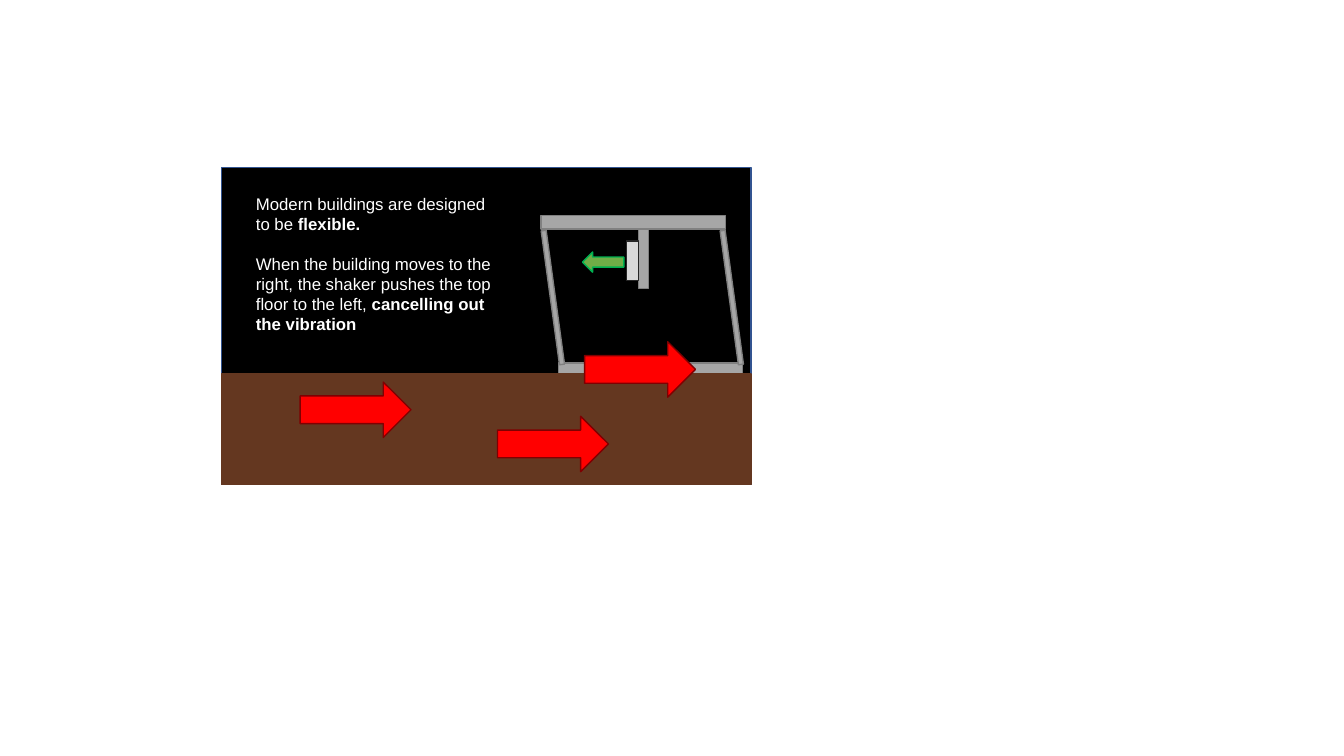
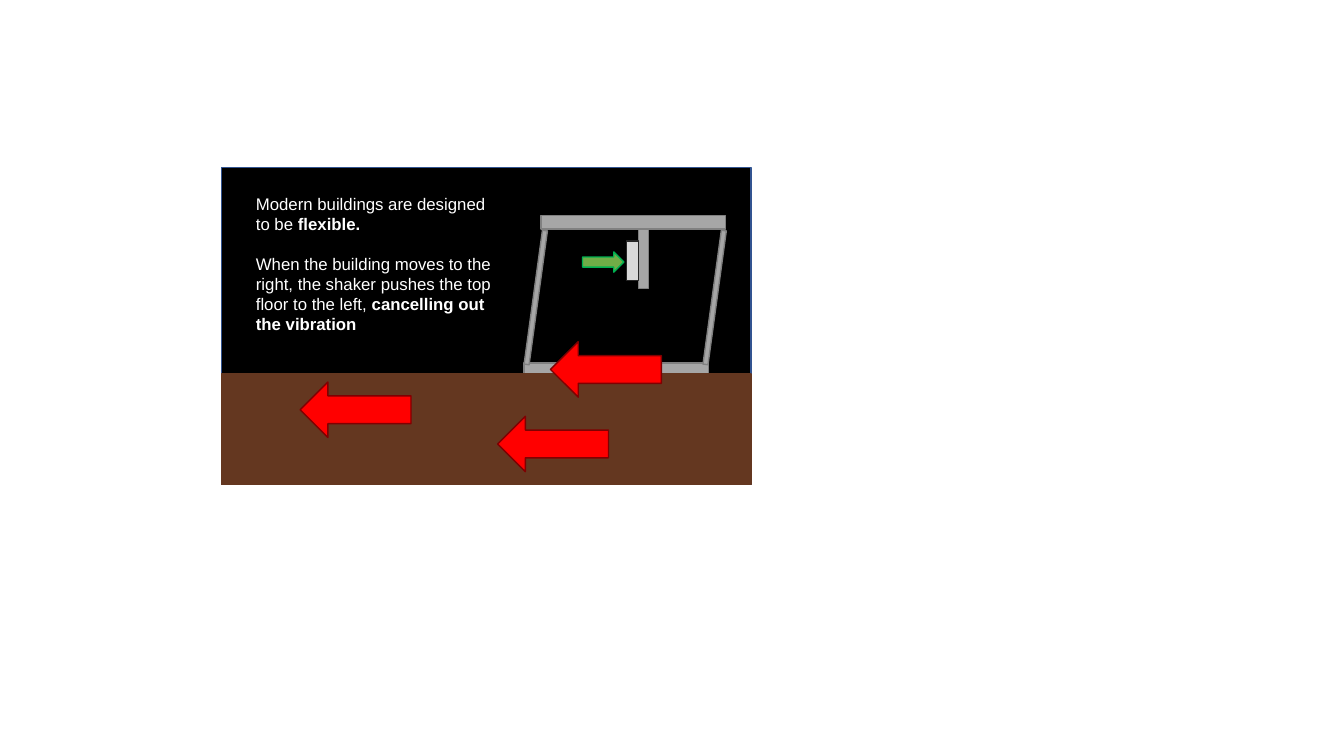
from pptx import Presentation
from pptx.dml.color import RGBColor
from pptx.enum.shapes import MSO_SHAPE
from pptx.enum.text import MSO_AUTO_SIZE
from pptx.util import Pt

RECT = MSO_SHAPE.RECTANGLE
ARROW = MSO_SHAPE.RIGHT_ARROW
FIT_SHAPE = MSO_AUTO_SIZE.SHAPE_TO_FIT_TEXT

WHITE = RGBColor(0xFF, 0xFF, 0xFF)
BLACK = RGBColor(0x00, 0x00, 0x00)
PANEL_EDGE = RGBColor(0x32, 0x54, 0x91)
STEEL = RGBColor(0xA6, 0xA6, 0xA6)
STEEL_EDGE = RGBColor(0x80, 0x80, 0x80)
SHAKER = RGBColor(0xD9, 0xD9, 0xD9)
SHAKER_EDGE = RGBColor(0x26, 0x26, 0x26)
GREEN = RGBColor(0x70, 0xAD, 0x47)
GREEN_EDGE = RGBColor(0x00, 0xB0, 0x50)
SOIL = RGBColor(0x64, 0x37, 0x20)
RED = RGBColor(0xFF, 0x00, 0x00)
RED_EDGE = RGBColor(0x7F, 0x00, 0x01)

FONT = "Arial"
PANEL = (158.4, 119.5, 378, 226.8)  # left, top, width, height
SOIL_DEPTH = 79.2
DRIFT = 12.2  # how far the base moves from under the roof
LEAN = 7.8    # tilt of the columns in degrees
RIGHT, LEFT = 1, -1

# Each paragraph is a list of (text, bold)
EXPLANATION = [
    [("Modern buildings are designed to be ", False), ("flexible.", True)],
    [("When the building moves to the right, the shaker pushes the top "
      "floor to the left, ", False), ("cancelling out the vibration", True)],
]


def add_block(slide, left, top, width, height, fill, edge, kind=RECT, turn=0):
    block = slide.shapes.add_shape(kind, Pt(left), Pt(top), Pt(width), Pt(height))
    block.shadow.inherit = False
    block.fill.solid()
    block.fill.fore_color.rgb = fill
    block.line.color.rgb = edge
    block.line.width = Pt(1)
    block.rotation = turn


def add_arrow(slide, left, top, width, height, fill, edge, direction):
    turn = 0 if direction == RIGHT else 180
    add_block(slide, left, top, width, height, fill, edge, ARROW, turn)


def add_text(slide, left, top, width, height, paragraphs, size=12,
             color=WHITE, font=FONT, gap=14):
    box = slide.shapes.add_textbox(Pt(left), Pt(top), Pt(width), Pt(height))
    frame = box.text_frame
    frame.word_wrap = True
    frame.auto_size = FIT_SHAPE
    for i, pieces in enumerate(paragraphs):
        paragraph = frame.paragraphs[0] if i == 0 else frame.add_paragraph()
        if i:
            paragraph.space_before = Pt(gap)
        for words, bold in pieces:
            run = paragraph.add_run()
            run.text = words
            run.font.size = Pt(size)
            run.font.name = font
            run.font.bold = bold
            run.font.color.rgb = color


def add_building(slide, left, top, direction):
    """Frame with its roof corner at left, top; the base moves in direction."""
    shift = direction * DRIFT
    # Roof and base
    for x, y in ((0, 0), (shift, 105.1)):
        add_block(slide, left + x, top + y, 131.8, 9.4, STEEL, STEEL_EDGE)
    # Columns lean between roof and base
    for x in (0.4, 128.2):
        add_block(slide, left + x + shift / 2, top + 10.2, 3.6, 96.5,
                  STEEL, STEEL_EDGE, turn=-direction * LEAN)
    # Post, shaker and its push against the motion
    add_block(slide, left + 69.7, top + 10, 7.2, 41.8, STEEL, STEEL_EDGE)
    add_block(slide, left + 61, top + 18, 8.6, 28.1, SHAKER, SHAKER_EDGE)
    add_arrow(slide, left + 29.5, top + 25.9, 29.5, 14.4,
              GREEN, GREEN_EDGE, -direction)


def add_ground(slide, left, top, width, height, direction):
    add_block(slide, left, top, width, height, SOIL, SOIL)
    # Ground motion: the first arrow moves with the base
    for x, y in ((247 + direction * DRIFT, -23), (197, 30.2), (56, 5.8)):
        add_arrow(slide, left + x, top + y, 79.2, 39.6, RED, RED_EDGE, direction)


def add_vibration_slide(deck, panel, direction):
    slide = deck.slides.add_slide(deck.slide_layouts[6])
    left, top, width, height = panel
    add_block(slide, left, top, width, height, BLACK, PANEL_EDGE)
    add_building(slide, left + 228.2, top + 34.6, direction)
    add_ground(slide, left, top + height - SOIL_DEPTH, width, SOIL_DEPTH, direction)
    add_text(slide, left + 17.3, top + 15.1, 188.6, 108.7, EXPLANATION)


def main():
    deck = Presentation()
    deck.slide_width, deck.slide_height = Pt(960), Pt(540)
    for direction in (RIGHT, LEFT):
        add_vibration_slide(deck, PANEL, direction)
    deck.save("out.pptx")


if __name__ == "__main__":
    main()
